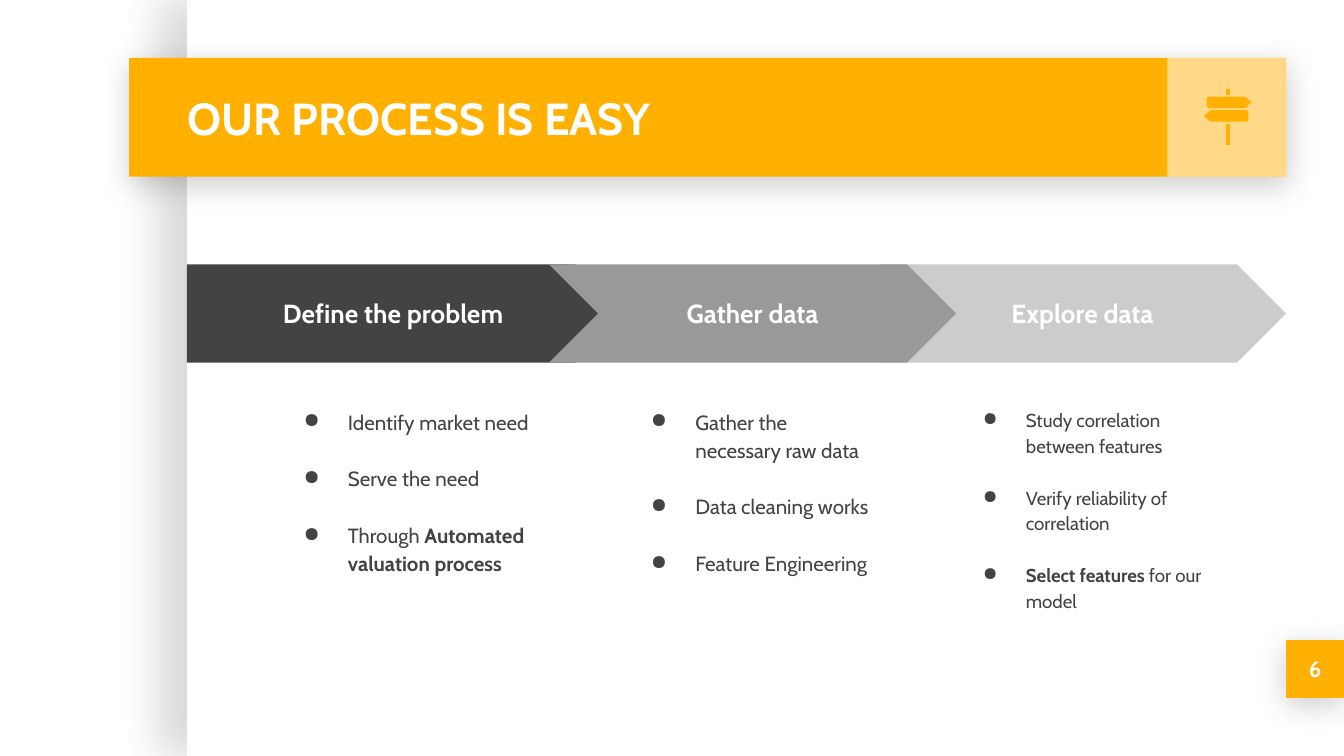
from dataclasses import dataclass

from lxml.etree import SubElement as Sub
from pptx import Presentation
from pptx.dml.color import RGBColor as RGB
from pptx.enum.shapes import MSO_SHAPE as Kind
from pptx.enum.text import MSO_ANCHOR as Anchor, PP_ALIGN as Align
from pptx.oxml.ns import qn
from pptx.util import Emu, Inches, Pt


@dataclass(frozen=True)
class Theme:
    font: str = "Cabin"
    gold: str = "FFB000"
    white: str = "FFFFFF"
    dark: str = "434343"
    mid: str = "999999"
    light: str = "CCCCCC"
    title: int = 24
    step: int = 14
    page: int = 12
    lead: float = 1.15  # line spacing
    gap: float = 1.38  # space between items, in type sizes


T = Theme()
WIDE = Inches(10)
HIGH = Emu(WIDE * 9 // 16)
TALL = 56.25  # slide height; all lengths are percent of the slide width
EDGE, RIGHT = 13.9, 95.7  # left and right edge of the content
BAND = (9.6, 4.3, 86.1, 8.84)

# Heading, arrow left and width, colour, text left and width, size, hang, items
# An item is a list of (text, bold) parts
STEPS = {
    "define": ("Define the problem", EDGE, 32.55, T.dark, 19.9, 20.9, 11, 3.3, [
        [("Identify market need", False)],
        [("Serve the need", False)],
        [("Through ", False), ("Automated valuation process", True)]]),
    "gather": ("Gather data", 40.85, 30.3, T.mid, 45.75, 20.5, 11, 3.3, [
        [("Gather the necessary raw data", False)],
        [("Data cleaning works", False)],
        [("Feature Engineering", False)]]),
    "explore": ("Explore data", 65.4, 30.3, T.light, 70.35, 20.5, 10, 3.2, [
        [("Study correlation between features", False)],
        [("Verify reliability of correlation", False)],
        [("Select features", True), (" for our model", False)]]),
}


def share(*vals):
    return [Emu(round(WIDE * v / 100)) for v in vals]


def paint(shape, color):
    shape.shadow.inherit = False
    shape.fill.solid()
    shape.fill.fore_color.rgb = RGB.from_string(color)
    shape.line.fill.background()


def block(slide, kind, box, color):
    shape = slide.shapes.add_shape(kind, *share(*box))
    paint(shape, color)
    return shape


def fade(shape, part):
    """Set the opacity of a solid fill, in percent."""
    clr = shape._element.spPr.find(qn("a:solidFill"))[0]
    Sub(clr, qn("a:alpha"), val=str(part * 1000))


def shade(shape, alpha, blur, dist, angle):
    """Add a soft black outer shadow."""
    fx = shape._element.spPr.find(qn("a:effectLst"))
    glow = Sub(fx, qn("a:outerShdw"), blurRad=str(Pt(blur)), dist=str(Pt(dist)),
               dir=str(angle * 60000), algn="bl", rotWithShape="0")
    clr = Sub(glow, qn("a:srgbClr"), val="000000")
    Sub(clr, qn("a:alpha"), val=str(alpha * 1000))


def style(font, size, color, bold=None):
    font.name, font.size, font.bold = T.font, Pt(size), bold
    font.color.rgb = RGB.from_string(color)


def inset(frame, anchor):
    frame.word_wrap = True
    frame.vertical_anchor = anchor
    pad, = share(1)
    frame.margin_left = frame.margin_right = pad
    frame.margin_top = frame.margin_bottom = pad


def label(shape, text, size, align=Align.CENTER):
    frame = shape.text_frame
    inset(frame, Anchor.MIDDLE)
    frame.text = text
    para = frame.paragraphs[0]
    para.alignment = align
    style(para.font, size, T.white, True)


def bullet(para, hang):
    props = para._p.get_or_add_pPr()
    left, dent = share(5, -hang)
    props.set("marL", str(left))
    props.set("indent", str(dent))
    Sub(Sub(props, qn("a:buClr")), qn("a:srgbClr"), val=T.dark)
    Sub(props, qn("a:buChar"), char="●")


def points(slide, box, items, size, hang):
    frame = slide.shapes.add_textbox(*share(*box)).text_frame
    inset(frame, Anchor.TOP)
    for i, item in enumerate(items):
        para = frame.add_paragraph() if i else frame.paragraphs[0]
        bullet(para, hang)
        para.line_spacing = T.lead
        para.space_before = Pt(round(size * T.gap, 1) if i else 0)
        style(para.font, size, T.dark)
        for text, bold in item:
            run = para.add_run()
            run.text = text
            run.font.bold = bold


def step(slide, name):
    head, x, wide, color, left, span, size, hang, items = STEPS[name]
    kind = Kind.PENTAGON if name == "define" else Kind.CHEVRON
    arrow = block(slide, kind, (x, 19.67, wide, 7.32), color)
    arrow.adjustments[0] = 0.5
    label(arrow, head, T.step)
    points(slide, (left, 29.2, span, 21), items, size, hang)


def sign(slide):
    """Draw the signpost, in ten-thousandths of the slide width."""
    plank = [(0, 12), (12, 0), (285, 0), (330, 42), (285, 85), (12, 85), (0, 73)]
    flip = [(330 - x, y) for x, y in plank]
    cap, post = ([(0, 0), (35, 0), (35, h), (0, h)] for h in (45, 160))
    group = slide.shapes.add_group_shape()
    for left, top, outline in ((8980, 720, plank), (8960, 820, flip),
                               (9120, 660, cap), (9120, 920, post)):
        dots = [(left + x, top + y) for x, y in outline]
        pen = group.shapes.build_freeform(*dots[0], scale=WIDE / 10000)
        pen.add_line_segments(dots[1:], close=True)
        paint(pen.convert_to_shape(), T.gold)


def header(slide):
    x, y, wide, high = BAND
    shade(block(slide, Kind.RECTANGLE, BAND, T.gold), 20, 16.9, 3.8, 90)
    fade(block(slide, Kind.RECTANGLE, (RIGHT - high, y, high, high), T.white), 53)
    title = slide.shapes.title
    title.left, title.top, title.width, title.height = share(12.95, y, 73.7, high)
    label(title, "OUR PROCESS IS EASY", T.title, Align.LEFT)
    slide.shapes._spTree.append(title._element)  # bring above the band
    sign(slide)


def main():
    deck = Presentation()
    deck.slide_width, deck.slide_height = WIDE, HIGH
    slide = deck.slides.add_slide(deck.slide_layouts[5])

    # Page sheet and page number
    sheet = block(slide, Kind.RECTANGLE, (EDGE, 0, 100 - EDGE, TALL), T.white)
    shade(sheet, 15, 22.5, 15, 180)
    page = block(slide, Kind.RECTANGLE, (RIGHT, 47.63, 4.3, 4.3), T.gold)
    shade(page, 20, 16.9, 3.8, 90)
    label(page, "6", T.page)

    header(slide)

    # Process arrows, each overlapping those drawn before
    for name in ("explore", "define", "gather"):
        step(slide, name)
    deck.save("out.pptx")


if __name__ == "__main__":
    main()
